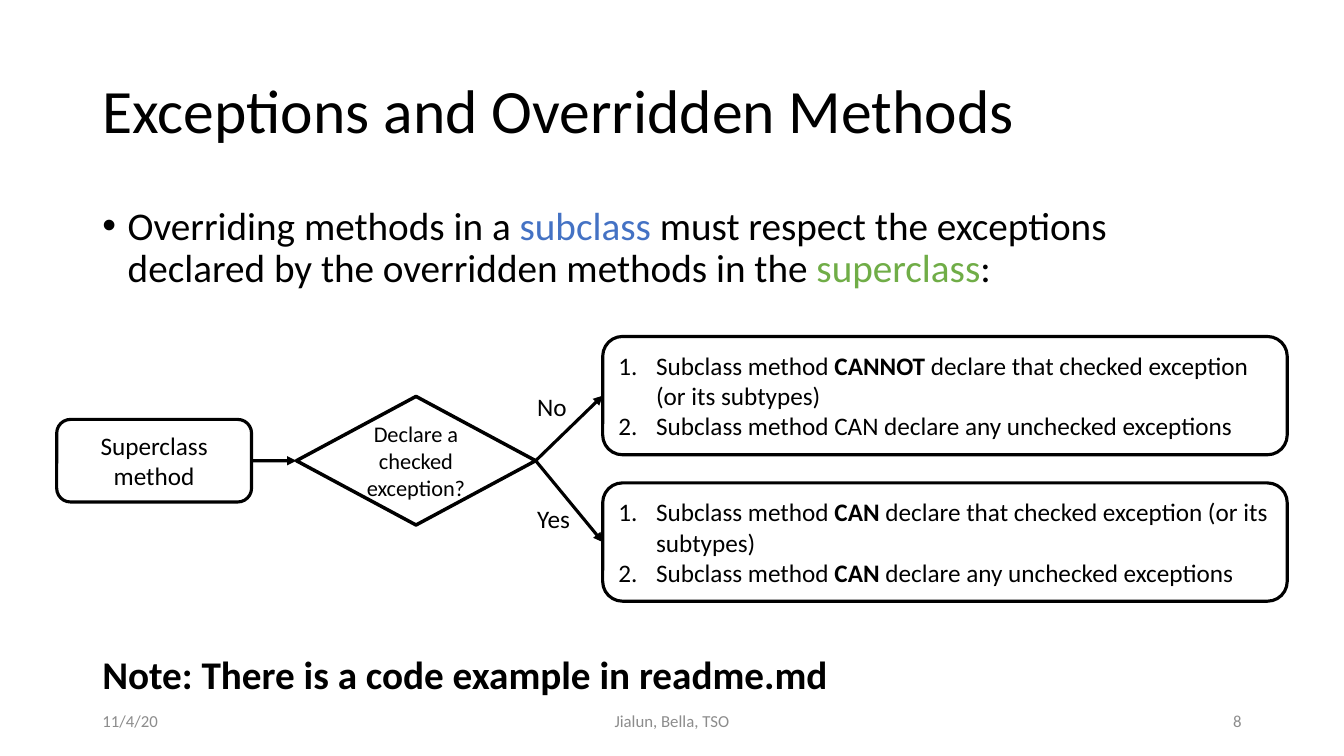
from lxml import etree
from pptx import Presentation
from pptx.dml.color import RGBColor
from pptx.enum.shapes import MSO_CONNECTOR, MSO_SHAPE
from pptx.enum.text import MSO_ANCHOR, MSO_AUTO_SIZE, PP_ALIGN
from pptx.oxml.ns import qn
from pptx.util import Cm, Pt

LEFT, CENTER, RIGHT = PP_ALIGN.LEFT, PP_ALIGN.CENTER, PP_ALIGN.RIGHT
TOP, MIDDLE = MSO_ANCHOR.TOP, MSO_ANCHOR.MIDDLE
NO_AUTOFIT = MSO_AUTO_SIZE.NONE
STRAIGHT = MSO_CONNECTOR.STRAIGHT
ROUNDED, DIAMOND = MSO_SHAPE.ROUNDED_RECTANGLE, MSO_SHAPE.DIAMOND
LEFT_SIDE, RIGHT_SIDE = 1, 3

FONT = "Calibri"
BLACK, GREY, BLUE, GREEN = "000000", "8C8C8C", "4472C4", "70AD47"
LINE_WIDTH = 2.25
MARGIN, CONTENT_WIDTH = 2.33, 29.21
BULLET = ("buChar", {"char": "•"})
NUMBER = ("buAutoNum", {"type": "arabicPeriod"})


def rgb(value):
    return RGBColor.from_string(value)


def add_marker(paragraph, marker, indent):
    tag, attributes = marker
    properties = paragraph._p.get_or_add_pPr()
    properties.set("marL", str(Cm(indent)))
    properties.set("indent", str(-Cm(indent)))
    etree.SubElement(properties, qn("a:buFont"), typeface="Arial" if tag == "buChar" else "+mj-lt")
    etree.SubElement(properties, qn("a:" + tag), attributes)


def write(shape, text, size=18, color=BLACK, bold=False, align=LEFT, anchor=TOP,
          spacing=None, before=0, marker=None, indent=0, wrap=True):
    """Text is a string, or a list of paragraphs made of (words, colour, bold) runs."""
    frame = shape.text_frame
    frame.word_wrap = wrap
    frame.auto_size = NO_AUTOFIT
    frame.vertical_anchor = anchor
    paragraphs = [[(text, color, bold)]] if isinstance(text, str) else text
    for index, runs in enumerate(paragraphs):
        paragraph = frame.add_paragraph() if index else frame.paragraphs[0]
        paragraph.alignment = align
        paragraph.space_before = Pt(before)
        if spacing:
            paragraph.line_spacing = spacing
        if marker:
            add_marker(paragraph, marker, indent)
        for words, run_color, run_bold in runs:
            run = paragraph.add_run()
            run.text = words
            run.font.name = FONT
            run.font.size = Pt(size)
            run.font.bold = run_bold
            run.font.color.rgb = rgb(run_color)


def add_text(slide, box, text, **style):
    write(slide.shapes.add_textbox(*map(Cm, box)), text, **style)


def add_node(slide, kind, box, text, line_width=LINE_WIDTH, **style):
    node = slide.shapes.add_shape(kind, *map(Cm, box))
    node.shadow.inherit = False
    node.fill.background()
    node.line.color.rgb = rgb(BLACK)
    node.line.width = Pt(line_width)
    write(node, text, anchor=MIDDLE, **style)
    return node


def add_arrow(slide, source, target):
    arrow = slide.shapes.add_connector(STRAIGHT, 0, 0, 0, 0)
    arrow.begin_connect(source, RIGHT_SIDE)
    arrow.end_connect(target, LEFT_SIDE)
    arrow.line.color.rgb = rgb(BLACK)
    arrow.line.width = Pt(LINE_WIDTH)
    etree.SubElement(arrow.line._get_or_add_ln(), qn("a:tailEnd"), type="triangle")
    etree.SubElement(arrow._element.spPr, qn("a:effectLst"))


def add_title(slide, box):
    title = slide.shapes.title
    title.left, title.top, title.width, title.height = map(Cm, box)
    write(title, "Exceptions and Overridden Methods", size=44, anchor=MIDDLE, spacing=0.9)


def add_rule(slide, box):
    rule = [[
        ("Overriding methods in a ", BLACK, False),
        ("subclass", BLUE, False),
        (" must respect the exceptions declared by the overridden methods in the ", BLACK, False),
        ("superclass", GREEN, False),
        (":", BLACK, False),
    ]]
    add_text(slide, box, rule, size=28, spacing=0.9, before=10, marker=BULLET, indent=0.64)


def permission(verb, rest, bold=True):
    return [("Subclass method ", BLACK, False), (verb + " ", BLACK, bold), (rest, BLACK, False)]


def add_decision_flow(slide, box):
    left, top, width, height = box
    axis = top + 3.13
    superclass_height, decision_height = 2.08, 3.24
    outcome_width, outcome_height = 17.25, 2.98
    outcome_left = left + width - outcome_width

    superclass = add_node(
        slide, ROUNDED, (left, axis - superclass_height / 2, 4.91, superclass_height),
        "Superclass method", align=CENTER)
    decision = add_node(
        slide, DIAMOND, (left + 6.04, axis - decision_height / 2, 6.03, decision_height),
        "Declare a checked exception?", line_width=2.5, size=16, align=CENTER)
    decision.text_frame.margin_left = decision.text_frame.margin_right = Cm(0.1)
    add_arrow(slide, superclass, decision)

    checked = "declare that checked exception (or its subtypes)"
    unchecked = "declare any unchecked exceptions"
    branches = [
        ("No", axis - 1.88, top,
         [permission("CANNOT", checked), permission("CAN", unchecked, bold=False)]),
        ("Yes", axis + 0.96, top + height - outcome_height,
         [permission("CAN", checked), permission("CAN", unchecked)]),
    ]
    for answer, answer_top, outcome_top, permissions in branches:
        outcome = add_node(
            slide, ROUNDED, (outcome_left, outcome_top, outcome_width, outcome_height),
            permissions, marker=NUMBER, indent=0.95)
        add_arrow(slide, decision, outcome)
        add_text(slide, (left + 11.86, answer_top, 1.35, 1.02), answer, wrap=False)


def add_footer(slide, box):
    left, top, width, height = box
    side, middle = 7.62, 11.43
    fields = [
        ("11/4/20", left, side, LEFT),
        ("Jialun, Bella, TSO", left + (width - middle) / 2, middle, CENTER),
        ("8", left + width - side, side, RIGHT),
    ]
    for text, field_left, field_width, align in fields:
        add_text(slide, (field_left, top, field_width, height), text,
                 size=12, color=GREY, align=align, anchor=MIDDLE)


def main():
    presentation = Presentation()
    presentation.slide_width, presentation.slide_height = Cm(33.87), Cm(19.05)
    slide = presentation.slides.add_slide(presentation.slide_layouts[5])
    add_title(slide, (MARGIN, 1.02, CONTENT_WIDTH, 3.68))
    add_rule(slide, (MARGIN, 5.08, CONTENT_WIDTH, 2.54))
    add_text(slide, (MARGIN, 16.26, 23.97, 1.45),
             "Note: There is a code example in readme.md", size=28, bold=True)
    add_decision_flow(slide, (1.43, 8.48, 31.01, 6.67))
    add_footer(slide, (MARGIN, 17.65, CONTENT_WIDTH, 1.02))
    presentation.save("out.pptx")


if __name__ == "__main__":
    main()
